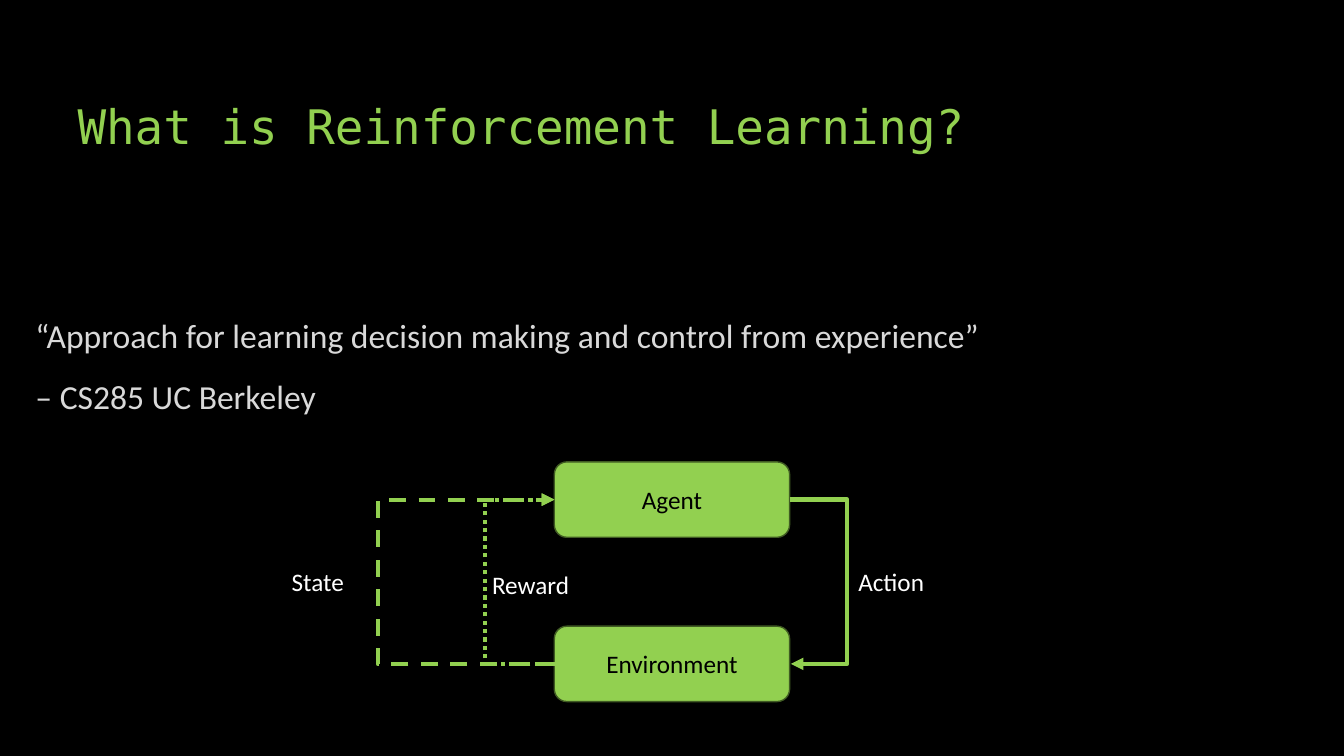
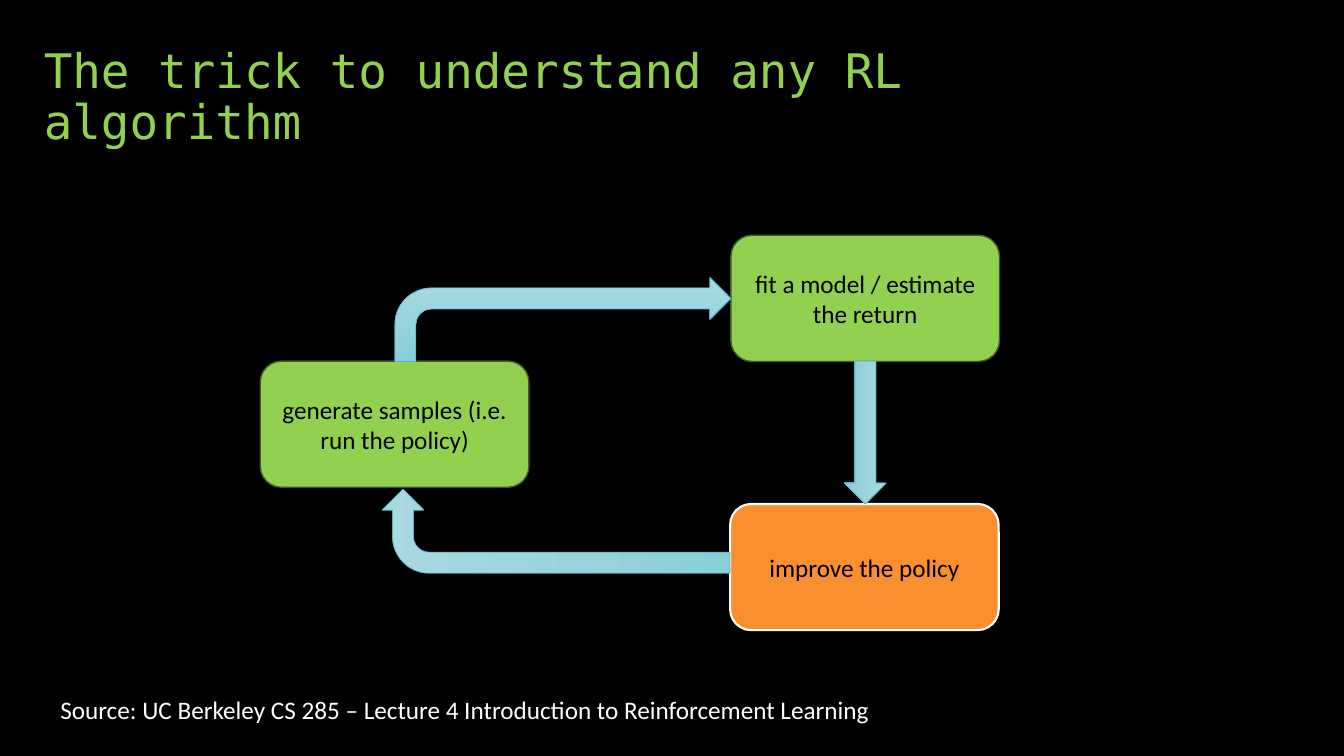
from lxml.etree import SubElement
from pptx import Presentation
from pptx.dml.color import RGBColor
from pptx.enum.dml import MSO_LINE
from pptx.enum.shapes import MSO_CONNECTOR, MSO_SHAPE
from pptx.enum.text import MSO_ANCHOR, MSO_AUTO_SIZE, PP_ALIGN
from pptx.oxml.ns import qn
from pptx.util import Cm, Pt

BLACK = RGBColor(0x00, 0x00, 0x00)
WHITE = RGBColor(0xFF, 0xFF, 0xFF)
LIGHT_GRAY = RGBColor(0xD9, 0xD9, 0xD9)
GREEN = RGBColor(0x92, 0xD0, 0x50)
DARK_GREEN = RGBColor(0x40, 0x5B, 0x23)
ORANGE = RGBColor(0xFA, 0x8F, 0x30)
ARROW_LIGHT = RGBColor(0xA9, 0xD9, 0xE1)
ARROW_DARK = RGBColor(0x89, 0xCE, 0xDA)
ARROW_LINE = RGBColor(0x47, 0xB8, 0xC7)

TITLE_FONT = "DejaVu Sans Mono"
TEXT_FONT = "Calibri"
TITLE_AND_BODY, TITLE_ONLY = 1, 5
LEFT_SIDE, RIGHT_SIDE = 1, 3
LOOP_WIDTH = 0.03


class Deck:
    """Holds the shared style and the slide being built."""

    def __init__(self):
        self.presentation = Presentation()
        self.presentation.slide_width = Cm(33.87)
        self.presentation.slide_height = Cm(19.05)
        background = self.presentation.slide_master.background.fill
        background.solid()
        background.fore_color.rgb = BLACK
        self.slide = None

    def new_slide(self, layout, title, *box):
        layouts = self.presentation.slide_layouts
        self.slide = self.presentation.slides.add_slide(layouts[layout])
        shape = self.slide.shapes.title
        self.place(shape, *box)
        shape.text_frame.text = title
        shape.text_frame.vertical_anchor = MSO_ANCHOR.BOTTOM
        self.format_text(shape, 34, GREEN, TITLE_FONT, spacing=0.9)

    def place(self, shape, left, top, width, height):
        shape.left, shape.top = Cm(left), Cm(top)
        shape.width, shape.height = Cm(width), Cm(height)

    def format_text(self, shape, size, color, font=TEXT_FONT,
                    align=PP_ALIGN.LEFT, spacing=1.0):
        shape.text_frame.word_wrap = True
        shape.text_frame.auto_size = MSO_AUTO_SIZE.NONE
        for paragraph in shape.text_frame.paragraphs:
            paragraph.alignment = align
            paragraph.line_spacing = spacing
            for run in paragraph.runs:
                run.font.name = font
                run.font.size = Pt(size)
                run.font.color.rgb = color

    def body(self, lines, *box):
        shape = self.slide.placeholders[1]
        self.place(shape, *box)
        shape.text_frame.text = "\n".join(lines)
        self.format_text(shape, 24, LIGHT_GRAY, spacing=0.9)
        for paragraph in shape.text_frame.paragraphs:
            paragraph.space_before = Pt(18)
            properties = paragraph._p.get_or_add_pPr()
            properties.set("marL", "0")
            properties.set("indent", "0")
            SubElement(properties, qn("a:buNone"))

    def label(self, text, left, top, width, wrap=False):
        shape = self.slide.shapes.add_textbox(
            Cm(left), Cm(top), Cm(width), Cm(1.03))
        shape.text_frame.text = text
        self.format_text(shape, 18, WHITE)
        shape.text_frame.word_wrap = wrap

    def preset(self, kind, box, line_color, line_width):
        shape = self.slide.shapes.add_shape(kind, *map(Cm, box))
        shape.shadow.inherit = False
        shape.line.color.rgb = line_color
        shape.line.width = Pt(line_width)
        return shape

    def node(self, text, *box, fill=GREEN, line=DARK_GREEN, line_width=1):
        shape = self.preset(MSO_SHAPE.ROUNDED_RECTANGLE, box, line, line_width)
        shape.fill.solid()
        shape.fill.fore_color.rgb = fill
        shape.text_frame.text = text
        shape.text_frame.vertical_anchor = MSO_ANCHOR.MIDDLE
        self.format_text(shape, 18, BLACK, align=PP_ALIGN.CENTER)
        return shape

    def block_arrow(self, kind, *box, rotation=0):
        shape = self.preset(kind, box, ARROW_LINE, 0.5)
        shape.rotation = rotation
        shape.fill.gradient()
        shape.fill.gradient_angle = 270
        for stop, color in zip(shape.fill.gradient_stops,
                               (ARROW_LIGHT, ARROW_DARK)):
            stop.color.rgb = color

    def loop(self, start, end, side, reach, dash=None):
        """Elbow arrow leaving and entering two stacked nodes on one side."""
        connector = self.slide.shapes.add_connector(
            MSO_CONNECTOR.ELBOW, 0, 0, 0, 0)
        connector.begin_connect(start, side)
        connector.end_connect(end, side)
        connector.line.color.rgb = GREEN
        connector.line.width = Pt(3)
        if dash:
            connector.line.dash_style = dash

        # A hair of width lets the bend be given as a multiple of it
        upper, lower = sorted((start, end), key=lambda node: node.top)
        connector.left = upper.left + (upper.width if side == RIGHT_SIDE else 0)
        connector.top = upper.top + upper.height // 2
        connector.width = Cm(LOOP_WIDTH)
        connector.height = lower.top - upper.top
        properties = connector._element.spPr
        transform = properties.find(qn("a:xfrm"))
        transform.attrib.clear()
        if side == LEFT_SIDE:
            transform.set("rot", "10800000")
        adjustments = properties.find(qn("a:prstGeom")).find(qn("a:avLst"))
        bend = round(reach / LOOP_WIDTH * 100000)
        SubElement(adjustments, qn("a:gd"), name="adj1", fmla=f"val {bend}")

        # Arrowhead, no shadow
        SubElement(properties.find(qn("a:ln")), qn("a:tailEnd"), type="triangle")
        SubElement(properties, qn("a:effectLst"))


def agent_slide(deck):
    deck.new_slide(TITLE_AND_BODY, "What is Reinforcement Learning?",
                   1.7, 0.85, 25.83, 3.17)
    deck.body(["“Approach for learning decision making and control from experience”",
               "– CS285 UC Berkeley"], 0.64, 7.92, 32.59, 3.6)

    # Agent and environment loop
    agent = deck.node("Agent", 13.97, 11.64, 5.93, 1.9)
    environment = deck.node("Environment", 13.97, 15.78, 5.93, 1.9)
    deck.loop(agent, environment, RIGHT_SIDE, 1.45)
    deck.loop(environment, agent, LEFT_SIDE, 1.77, MSO_LINE.ROUND_DOT)
    deck.loop(environment, agent, LEFT_SIDE, 4.48, MSO_LINE.DASH)
    deck.label("Action", 21.38, 14.15, 2.26)
    deck.label("State", 7.1, 14.15, 1.96)
    deck.label("Reward", 12.15, 14.23, 2.62)


def algorithm_slide(deck):
    deck.new_slide(TITLE_ONLY, "The trick to understand any RL algorithm",
                   0.85, 0.74, 27.94, 3.17)

    # Steps of the cycle
    size = (6.77, 3.18)
    deck.node("fit a model / estimate the return", 18.42, 5.93, *size)
    deck.node("generate samples (i.e. run the policy)", 6.56, 9.1, *size)
    deck.node("improve the policy", 18.4, 12.7, *size,
              fill=ORANGE, line=WHITE, line_width=1.5)

    # Arrows between the steps
    deck.block_arrow(MSO_SHAPE.BENT_ARROW, 9.95, 6.99, 8.47, 2.12)
    deck.block_arrow(MSO_SHAPE.RIGHT_ARROW, 20.01, 10.37, 3.6, 1.06, rotation=90)
    deck.block_arrow(MSO_SHAPE.BENT_ARROW, 12.95, 9, 2.12, 8.77, rotation=270)

    deck.label("Source: UC Berkeley CS 285 – Lecture 4 Introduction to "
               "Reinforcement Learning", 1.27, 17.36, 23.28, wrap=True)


def main():
    deck = Deck()
    agent_slide(deck)
    algorithm_slide(deck)
    deck.presentation.save("out.pptx")


if __name__ == "__main__":
    main()
